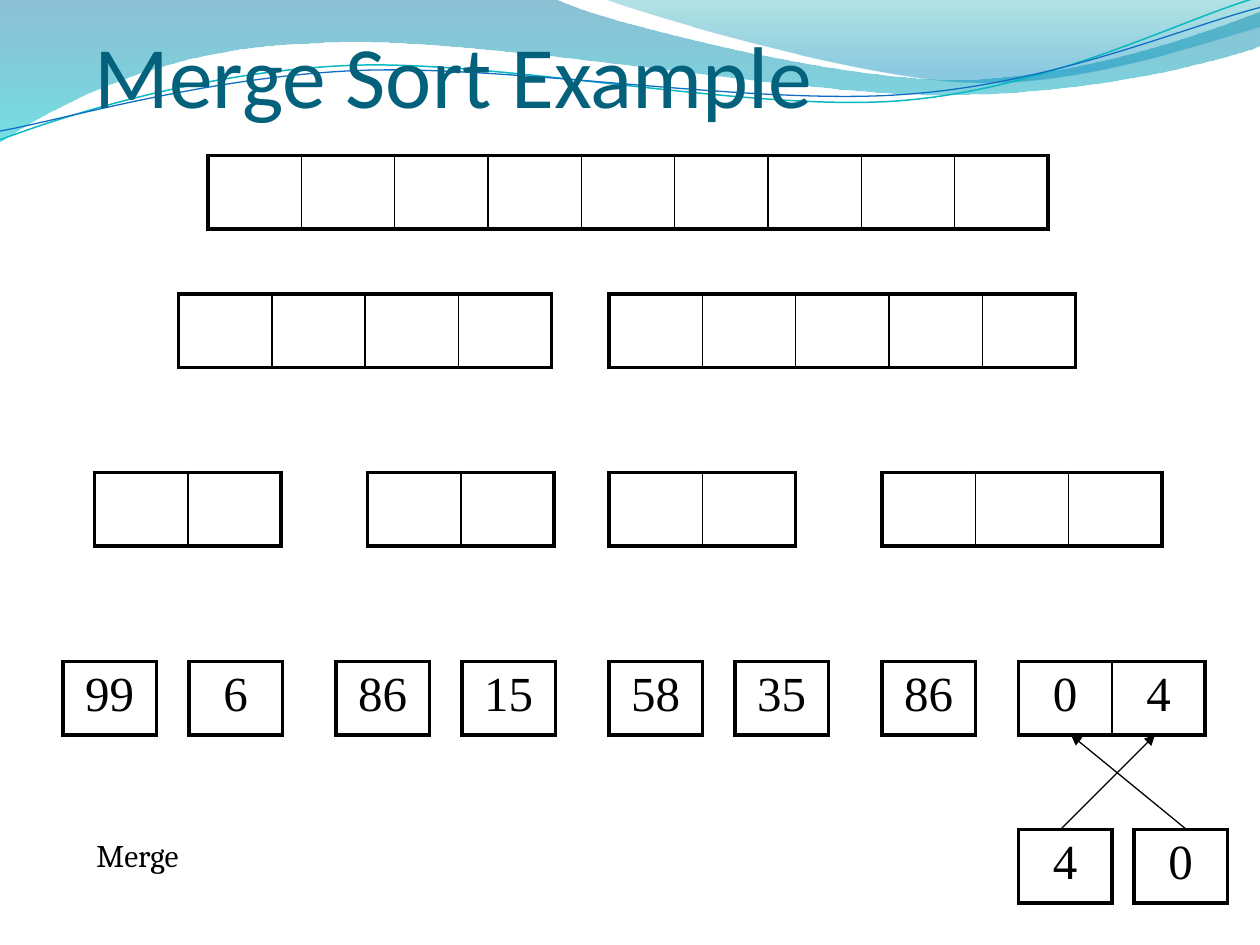
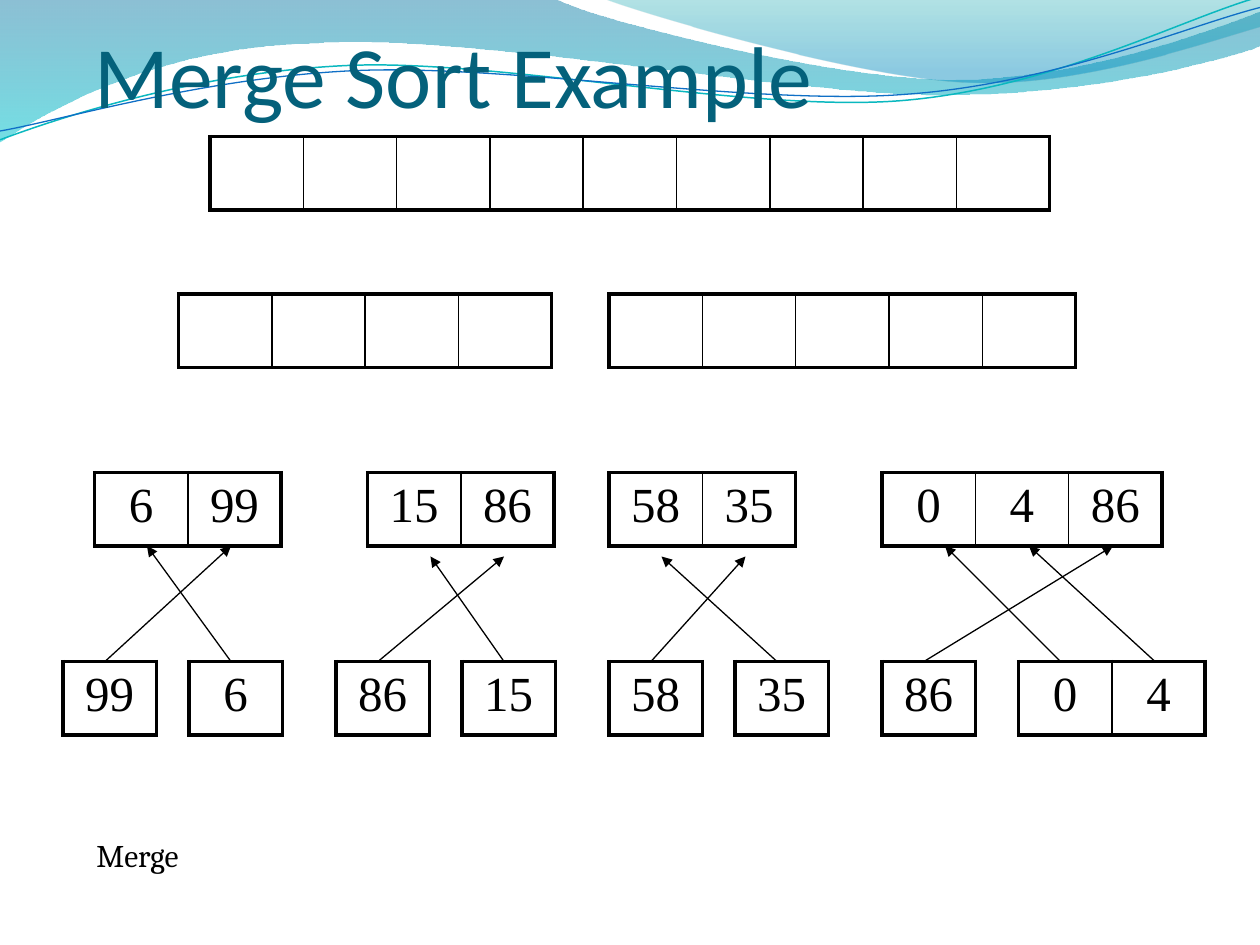
import math
import pptx
import pptx.util
import pptx.dml.color
import pptx.enum.shapes
import pptx.enum.text
import pptx.oxml
import pptx.oxml.ns

Pt = pptx.util.Pt
qn = pptx.oxml.ns.qn
rgb = pptx.dml.color.RGBColor.from_string

HUES = {"ink": "000000", "title": "04617B", "teal": "0AB8BF", "blue": "0F6FC6",
        "deep": "0074A1", "aqua": "00C6CF", "sea": "00A1A9", "sky": "008BBF"}
FONTS = {
    "title": {"name": "Calibri", "size": Pt(50), "bold": False},
    "cell": {"name": "Times New Roman", "size": Pt(28), "bold": False},
    "note": {"name": "Cambria", "size": Pt(18), "bold": False},
}

# Slide grid: 120 columns by 90 rows, twelve to the inch
deck = pptx.Presentation()
deck.slide_width = pptx.util.Inches(10)
deck.slide_height = pptx.util.Inches(7.5)
CELL, TALL = 80 / 9, 7
LINE = {"outer": Pt(2.25), "inner": Pt(1), "arrow": Pt(0.75)}


def grid(*spans):
    return [round(span * deck.slide_width / 120) for span in spans]


def style(text, kind, hue="ink"):
    for key, value in FONTS[kind].items():
        setattr(text.font, key, value)
    text.font.color.rgb = rgb(HUES[hue])


# Waves in inches: a pair is a straight step, six numbers a curve
TURN = -2.7
WAVES = [
    {"stops": [(0, "deep", 45), (1, "aqua", 55)], "start": (0, 0), "steps": [
        (4.4, -0.01), (4.76, 0.17, 6.64, 0.63, 7.58, 0.63),
        (8.53, 0.63, 9.58, 0.26, 10, 0.09), (10.01, 0.36),
        (9.83, 0.44, 8.7, 0.76, 7.46, 0.75), (6.22, 0.75, 3.82, 0.28, 2.57, 0.34),
        (1.29, 0.36, 0.46, 0.83, -0.01, 1.13), (0, 0)]},
    {"stops": [(0, "sea", 30), (0.8, "sky", 45)], "start": (4.79, -0.01), "steps": [
        (5.09, 0.11, 6.82, 0.62, 7.69, 0.65), (8.56, 0.69, 9.61, 0.32, 10, 0.21),
        (10, 0), (4.79, -0.01)]},
    {"line": ("teal", 0.85), "hub": (4.99, 0.58), "start": (0, 1.11), "steps": [
        (0.48, 0.93, 1.58, 0.57, 2.77, 0.52), (3.95, 0.47, 5.93, 0.89, 7.13, 0.8),
        (8.33, 0.71, 9.38, 0.15, 9.98, -0.02)]},
    {"line": ("blue", 0.75), "hub": (5, 0.59), "start": (0, 1.04), "steps": [
        (0.47, 0.96, 1.64, 0.61, 2.83, 0.56), (4.03, 0.51, 5.97, 0.84, 7.17, 0.75),
        (8.36, 0.67, 9.41, 0.21, 10, 0.06)]},
]

# Arrays: column, row, values
HALVES = [(17, 28, [""] * 4), (58, 28, [""] * 5)]
LEAVES = [(6, 63, ["99"]), (18, 63, ["6"]), (32, 63, ["86"]), (44, 63, ["15"]),
          (58, 63, ["58"]), (70, 63, ["35"]), (84, 63, ["86"]), (97, 63, ["0", "4"])]
PAGES = [
    {"arrays": [(19.82, 14.8, [""] * 9), *HALVES,
                (35, 45, [""] * 2), (9, 45, [""] * 2), (58, 45, [""] * 2),
                (84, 45, [""] * 3), *LEAVES, (97, 79, ["4"]), (108, 79, ["0"])],
     "arrows": [(113, 79, 102, 70), (101, 79, 110, 70)]},
    {"arrays": [(20, 13, [""] * 9), *HALVES,
                (35, 45, ["15", "86"]), (9, 45, ["6", "99"]), (58, 45, ["58", "35"]),
                (84, 45, ["0", "4", "86"]), *LEAVES],
     "arrows": [(110, 63, 98, 52), (88, 63, 106, 52), (101, 63, 90, 52),
                (74, 63, 63, 53), (62, 63, 71, 53), (48, 63, 41, 53),
                (36, 63, 48, 53), (22, 63, 14, 52), (10, 63, 22, 52)]},
]
slides = [deck.slides.add_slide(deck.slide_layouts[5]) for page in PAGES]

# Wave band, moved to the master so that both slides share it
tree = deck.slide_master.shapes._spTree
for index, wave in enumerate(WAVES):
    points = [wave["start"]]
    for step in wave["steps"]:
        points += zip(step[::2], step[1::2])
    if "hub" in wave:
        # Level the line here; the shape's rotation tilts it again
        hub, angle = wave["hub"], math.radians(-TURN)
        cos, sin = math.cos(angle), math.sin(angle)
        gaps = [(x - hub[0], y - hub[1]) for x, y in points]
        points = [(hub[0] + x * cos - y * sin, hub[1] + x * sin + y * cos)
                  for x, y in gaps]
    points = [(x * 1000, y * 1000) for x, y in points]
    pen = slides[0].shapes.build_freeform(*points[0], scale=914.4)
    pen.add_line_segments(points[1:], close="stops" in wave)
    shape = pen.convert_to_shape()
    shape.shadow.inherit = False

    # Join each three points of a curve into one segment
    nodes = iter(list(shape._element.iter(qn("a:lnTo"))))
    for step in wave["steps"]:
        group = [next(nodes) for pair in step[::2]]
        if len(group) == 3:
            curve = group[0].makeelement(qn("a:cubicBezTo"))
            group[0].addprevious(curve)
            for node in group:
                curve.append(node[0])
                node.getparent().remove(node)

    if "stops" in wave:
        shape.line.fill.background()
        shape.fill.gradient()
        shape.fill.gradient_angle = 270
        for stop, (place, hue, alpha) in zip(shape.fill.gradient_stops, wave["stops"]):
            stop.position = place
            stop.color.rgb = rgb(HUES[hue])
        tints = list(shape._element.spPr.iter(qn("a:srgbClr")))
        for tint, (place, hue, alpha) in zip(tints, wave["stops"]):
            tint.append(tint.makeelement(qn("a:alpha"), {"val": str(alpha * 1000)}))
    else:
        hue, width = wave["line"]
        shape.rotation = TURN
        shape.fill.background()
        shape.line.color.rgb = rgb(HUES[hue])
        shape.line.width = Pt(width)
    shape._element.nvSpPr.cNvPr.set("id", str(20 + index))
    tree.insert(2 + index, shape._element)

for slide, page in zip(slides, PAGES):
    # Title
    title = slide.shapes.title
    title.left, title.top, title.width, title.height = grid(9, 0, 102, 12)
    frame = title.text_frame
    frame.text = "Merge Sort Example"
    for key, value in {"margin_left": 0, "margin_top": Pt(3.6), "margin_right": 0,
                       "margin_bottom": 0, "word_wrap": True,
                       "vertical_anchor": pptx.enum.text.MSO_ANCHOR.BOTTOM,
                       "auto_size": pptx.enum.text.MSO_AUTO_SIZE.NONE}.items():
        setattr(frame, key, value)
    frame.paragraphs[0].alignment = pptx.enum.text.PP_ALIGN.LEFT
    style(frame.paragraphs[0].runs[0], "title", "title")

    # Arrays
    for col, row, values in page["arrays"]:
        count = len(values)
        table = slide.shapes.add_table(
            1, count, *grid(col, row, count * CELL, TALL)).table
        table.first_row = table.horz_banding = False
        for index, value in enumerate(values):
            table.columns[index].width = grid(CELL)[0]
            cell = table.cell(0, index)
            cell.fill.background()
            if value:
                cell.text = value
                cell.text_frame.paragraphs[0].alignment = pptx.enum.text.PP_ALIGN.CENTER
                style(cell.text_frame.paragraphs[0].runs[0], "cell")
            sides = {"L": "inner" if index else "outer",
                     "R": "inner" if index < count - 1 else "outer",
                     "T": "outer", "B": "outer"}
            for place, (side, kind) in enumerate(sides.items()):
                edge = pptx.oxml.parse_xml(
                    f'<a:ln{side} {pptx.oxml.ns.nsdecls("a")} w="{LINE[kind]}">'
                    f'<a:solidFill><a:srgbClr val="{HUES["ink"]}"/></a:solidFill>'
                    f'</a:ln{side}>')
                cell._tc.get_or_add_tcPr().insert(place, edge)

    # Step name
    note = slide.shapes.add_textbox(*grid(8, 79, 61, 6)).text_frame
    note.word_wrap = True
    note.text = "Merge"
    style(note.paragraphs[0].runs[0], "note")

    # Arrows from each value to its merged place
    for ends in page["arrows"]:
        arrow = slide.shapes.add_connector(
            pptx.enum.shapes.MSO_CONNECTOR.STRAIGHT, *grid(*ends))
        arrow.line.color.rgb = rgb(HUES["ink"])
        arrow.line.width = LINE["arrow"]
        tip = arrow.line._get_or_add_ln()
        tip.append(tip.makeelement(qn("a:tailEnd"), {"type": "triangle"}))
        arrow._element.spPr.append(tip.makeelement(qn("a:effectLst")))

deck.save("out.pptx")
